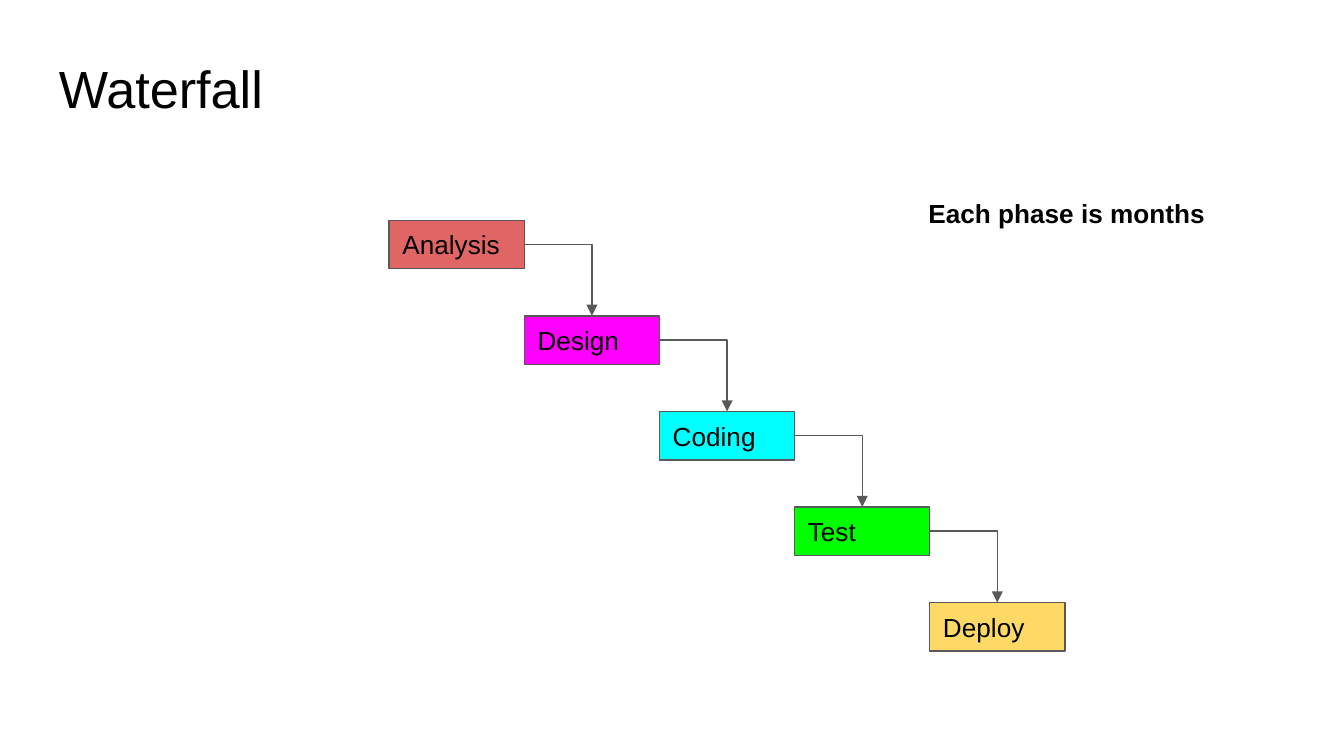
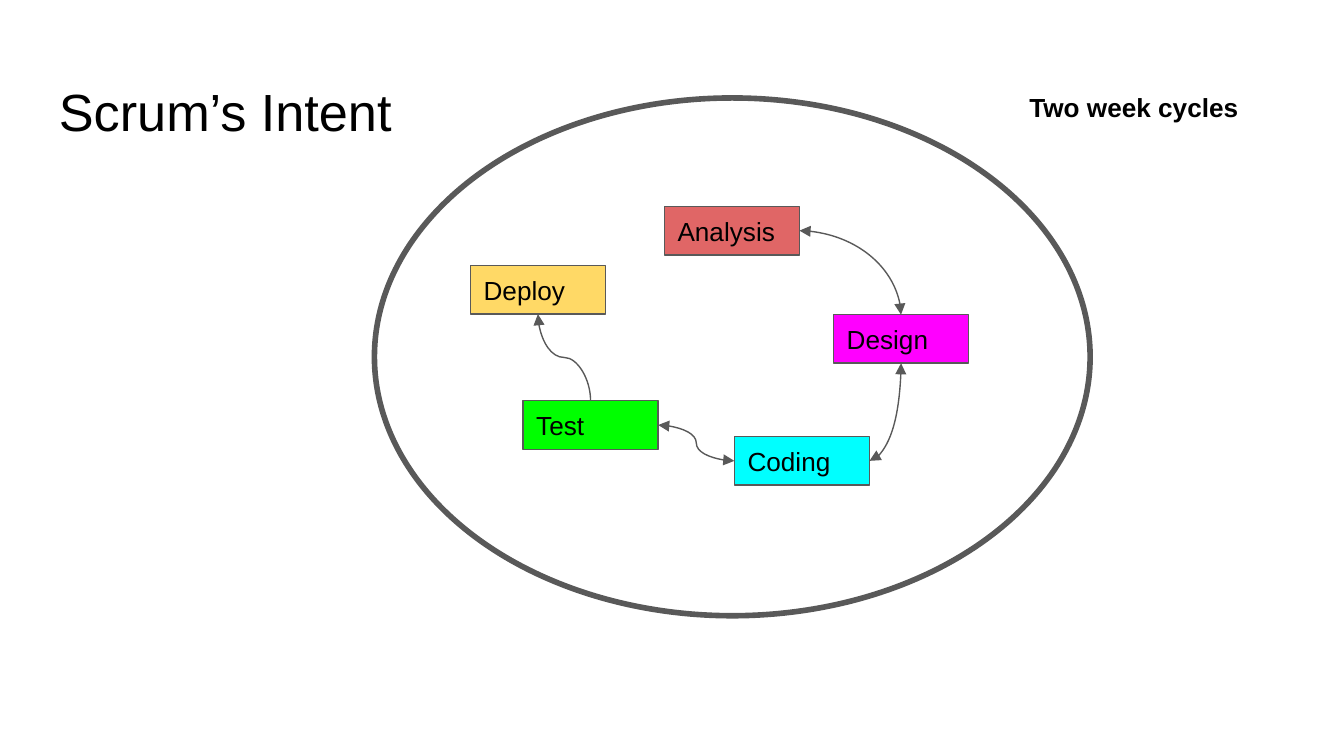
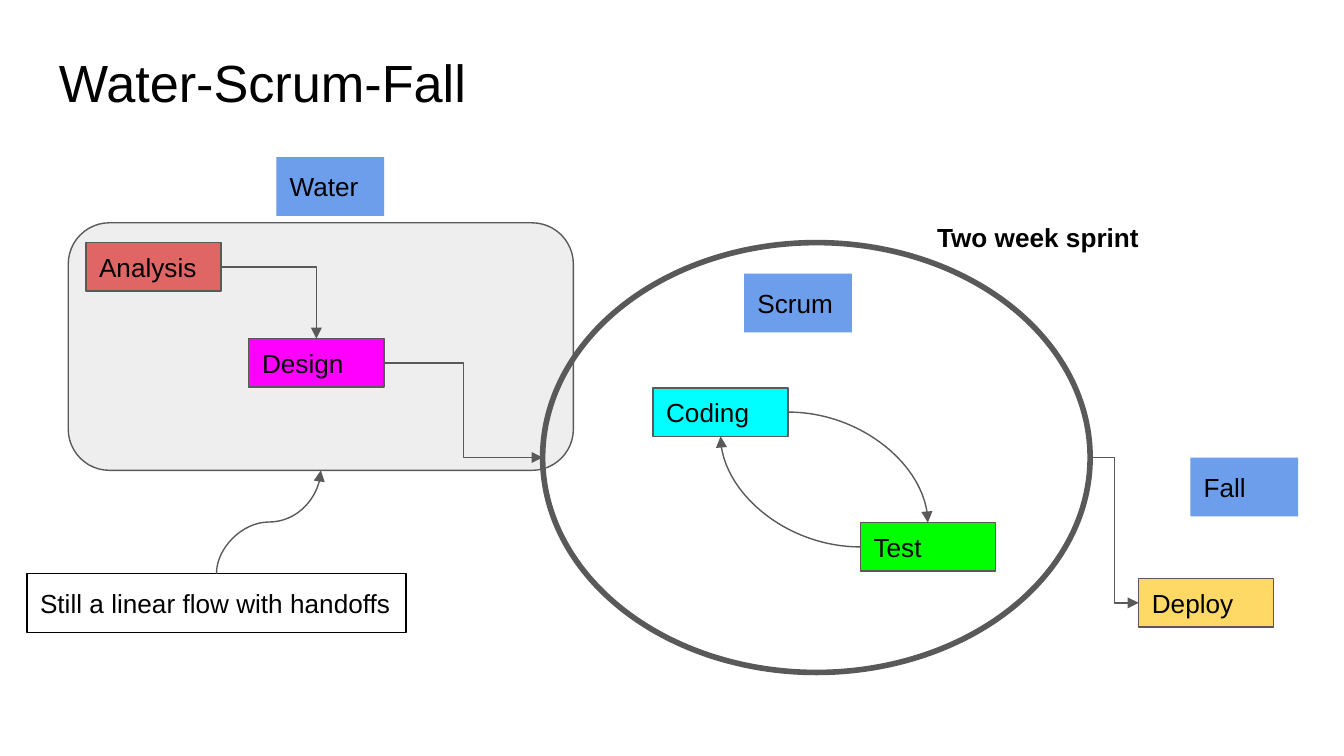
from dataclasses import dataclass

from lxml import etree
from pptx import Presentation
from pptx import util as u
from pptx.dml import color
from pptx.enum import shapes, text
from pptx.oxml import ns


@dataclass(frozen=True)
class Theme:
    font: str = "Arial"
    ink: str = "000000"
    edge: str = "595959"
    panel: str = "EEEEEE"
    tag: str = "6D9EEB"
    title_size: int = 28
    body_size: int = 14
    thin: float = 0.75
    thick: float = 3


THEME = Theme()
PHASES = {
    "Analysis": "E06666",
    "Design": "FF00FF",
    "Coding": "00FFFF",
    "Test": "00FF00",
    "Deploy": "FFD966",
}
PHASE_SIZE = (72.4, 26)
TAG_SIZE = (57.7, 31.5)
SITES = {"top": (0, 0.5, 0), "left": (1, 0, 0.5), "bottom": (2, 0.5, 1), "right": (3, 1, 0.5)}
BENT, CURVED = "bent", "curved"
KINDS = {BENT: shapes.MSO_CONNECTOR.ELBOW, CURVED: shapes.MSO_CONNECTOR.CURVE}
TO_END, BOTH = ("tailEnd",), ("headEnd", "tailEnd")
FRAME_FORMAT = {
    "word_wrap": True,
    "margin_left": u.Pt(7.2),
    "margin_top": u.Pt(7.2),
    "margin_right": u.Pt(7.2),
    "margin_bottom": u.Pt(7.2),
}


def add_part(slide, words, frame, outline=None, fill=None, edge=None, weight=THEME.thin,
             size=THEME.body_size, bold=False, anchor=text.MSO_ANCHOR.TOP):
    box = [u.Pt(n) for n in frame]
    if outline is None:
        part = slide.shapes.add_textbox(*box)
    else:
        part = slide.shapes.add_shape(outline, *box)
        part.shadow.inherit = False
        if fill:
            part.fill.solid()
            part.fill.fore_color.rgb = color.RGBColor.from_string(fill)
        else:
            part.fill.background()
        if edge:
            part.line.color.rgb = color.RGBColor.from_string(edge)
            part.line.width = u.Pt(weight)
        else:
            part.line.fill.background()
    if words:
        for key, value in {**FRAME_FORMAT, "vertical_anchor": anchor}.items():
            setattr(part.text_frame, key, value)
        line = part.text_frame.paragraphs[0]
        line.alignment = text.PP_ALIGN.LEFT
        run = line.add_run()
        run.text = words
        for key, value in {"name": THEME.font, "size": u.Pt(size), "bold": bold}.items():
            setattr(run.font, key, value)
        run.font.color.rgb = color.RGBColor.from_string(THEME.ink)
    return part


def link(slide, source, source_side, target, target_side, kind, heads=TO_END):
    ends = []
    for part, side in ((source, source_side), (target, target_side)):
        _, across, down = SITES[side]
        ends.append((part.left + int(part.width * across), part.top + int(part.height * down)))
    (x1, y1), (x2, y2) = ends
    arrow = slide.shapes.add_connector(KINDS[kind], x1, y1, x2, y2)
    if source.auto_shape_type != shapes.MSO_SHAPE.OVAL:
        arrow.begin_connect(source, SITES[source_side][0])
    if target.auto_shape_type != shapes.MSO_SHAPE.OVAL:
        arrow.end_connect(target, SITES[target_side][0])

    upright = source_side in ("top", "bottom")
    same_axis = upright == (target_side in ("top", "bottom"))
    width, height = abs(x2 - x1), abs(y2 - y1)
    if upright:
        width, height = height, width
        turn = 90 if y2 > y1 else 270
        mirrored = (x2 > x1) == (y2 > y1)
    else:
        turn = 0 if x2 > x1 else 180
        mirrored = (x2 > x1) != (y2 > y1)
    if mirrored:
        turn = (turn + 180) % 360
    place = {
        "left": (x1 + x2 - width) // 2,
        "top": (y1 + y2 - height) // 2,
        "width": width,
        "height": height,
    }
    for key, value in place.items():
        setattr(arrow, key, value)
    props = arrow.element.spPr
    xfrm = props.find(ns.qn("a:xfrm"))
    for key, value in {"rot": turn * 60000, "flipH": int(mirrored), "flipV": 0}.items():
        xfrm.set(key, str(value))
    props.find(ns.qn("a:prstGeom")).set("prst", f"{kind}Connector{3 if same_axis else 2}")
    arrow.line.color.rgb = color.RGBColor.from_string(THEME.edge)
    arrow.line.width = u.Pt(THEME.thin)
    for head in heads:
        etree.SubElement(props.find(ns.qn("a:ln")), ns.qn(f"a:{head}"), type="triangle")
    etree.SubElement(props, ns.qn("a:effectLst"))


names = list(PHASES)
stories = [
    {
        "title": ("Waterfall", 23),
        "pace": ("Each phase is months", (490.3, 98.6, 167.8, 32.4)),
        "phases": [(208.5 + 72.4 * i, 118 + 51.2 * i) for i in range(len(names))],
        "links": [(a, "right", b, "top", BENT) for a, b in zip(names, names[1:])],
    },
    {
        "title": ("Scrum’s Intent", 35.3),
        "pace": ("Two week cycles", (544.3, 41.5, 128.9, 32.4)),
        "cycle": (200.6, 52.5, 383.4, 277.4),
        "phases": [(355.9, 110.6), (446.5, 168.6), (393.4, 233.9), (280.2, 214.7), (252, 142.3)],
        "links": [
            ("Analysis", "right", "Design", "top", CURVED, BOTH),
            ("Design", "bottom", "Coding", "right", CURVED, BOTH),
            ("Coding", "left", "Test", "right", CURVED, BOTH),
            ("Test", "top", "Deploy", "bottom", CURVED),
        ],
    },
    {
        "title": ("Water-Scrum-Fall", 19.6),
        "pace": ("Two week sprint", (494.9, 111.2, 128.2, 32.4)),
        "upfront": (36.6, 119.4, 270.6, 132.6),
        "cycle": (290.7, 130, 293.3, 230.3),
        "phases": [(46, 130), (133.3, 181.4), (349.8, 207.8), (460.9, 280), (610, 310)],
        "tags": {"Water": (148.1, 84.2), "Scrum": (398.7, 146.6), "Fall": (637.7, 245.1)},
        "remark": ("Still a linear flow with handoffs", (14.4, 307.3, 203.2, 31.5)),
        "links": [
            ("Coding", "right", "Test", "top", CURVED),
            ("Analysis", "right", "Design", "top", BENT),
            ("Design", "right", "cycle", "left", BENT),
            ("cycle", "right", "Deploy", "left", BENT),
            ("Test", "left", "Coding", "bottom", CURVED),
            ("remark", "top", "upfront", "bottom", CURVED),
        ],
    },
]

deck = Presentation()
deck.slide_width, deck.slide_height = u.Pt(720), u.Pt(405)
RECT = shapes.MSO_SHAPE.RECTANGLE

for story in stories:
    slide = deck.slides.add_slide(deck.slide_layouts[6])
    parts = {}
    if "upfront" in story:
        parts["upfront"] = add_part(slide, None, story["upfront"], shapes.MSO_SHAPE.ROUNDED_RECTANGLE,
                                    THEME.panel, THEME.edge)
    if "cycle" in story:
        parts["cycle"] = add_part(slide, None, story["cycle"], shapes.MSO_SHAPE.OVAL,
                                  edge=THEME.edge, weight=THEME.thick)
    title, title_top = story["title"]
    add_part(slide, title, (24.5, title_top, 671, 45), size=THEME.title_size)
    for (phase, tint), corner in zip(PHASES.items(), story["phases"]):
        parts[phase] = add_part(slide, phase, corner + PHASE_SIZE, RECT, tint, THEME.edge,
                                anchor=text.MSO_ANCHOR.MIDDLE)
    for tag, corner in story.get("tags", {}).items():
        add_part(slide, tag, corner + TAG_SIZE, RECT, THEME.tag)
    if "remark" in story:
        parts["remark"] = add_part(slide, *story["remark"], RECT, edge=THEME.ink)
    for start, start_side, end, end_side, *look in story["links"]:
        link(slide, parts[start], start_side, parts[end], end_side, *look)
    add_part(slide, *story["pace"], bold=True)

deck.save("out.pptx")
